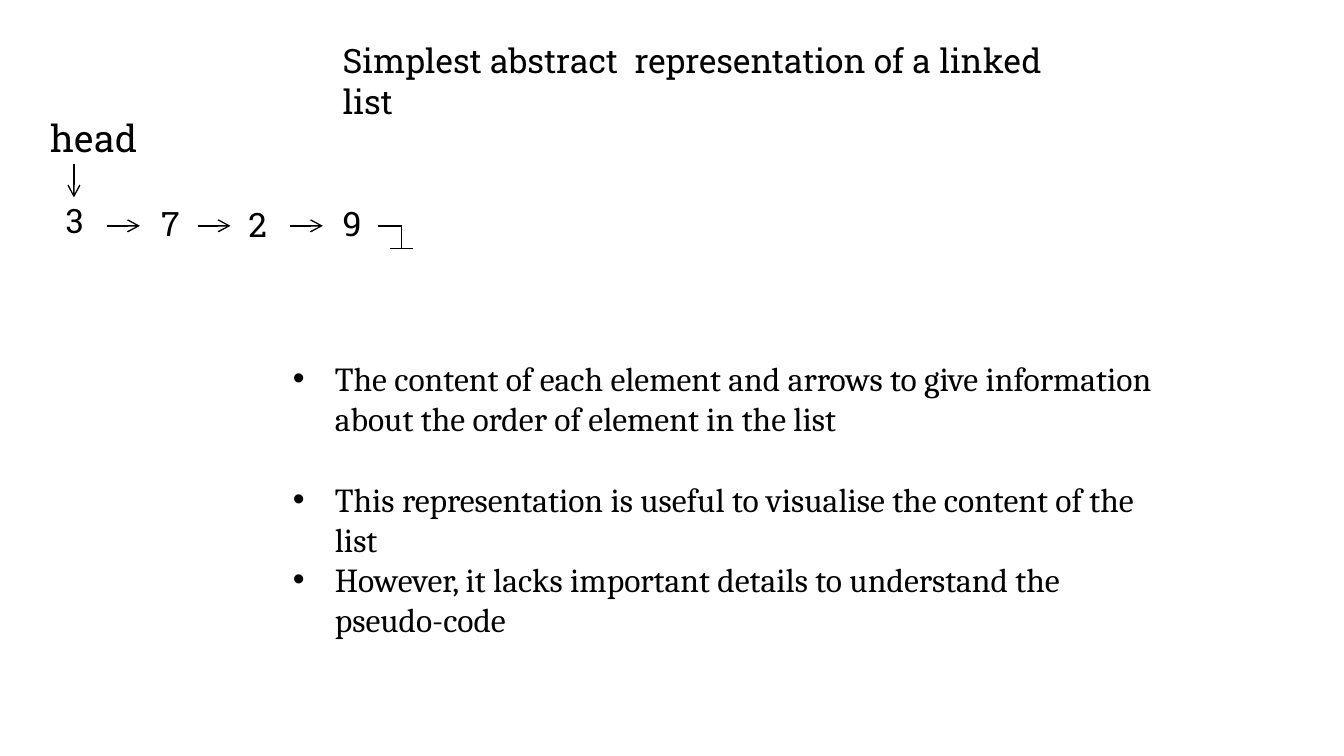
import pptx
import pptx.dml.color
import pptx.enum.shapes
import pptx.oxml.ns
import pptx.util
import lxml.etree

Pt = pptx.util.Pt
BLACK = "000000"
SLAB = "Roboto Slab"


def add_line(shapes, x1, y1, x2, y2, arrow=False):
    line = shapes.add_connector(
        pptx.enum.shapes.MSO_CONNECTOR.STRAIGHT, Pt(x1), Pt(y1), Pt(x2), Pt(y2))
    line.line.color.rgb = pptx.dml.color.RGBColor.from_string(BLACK)
    line.line.width = Pt(0.75)
    properties = line._element.spPr
    if arrow:
        lxml.etree.SubElement(properties.find(pptx.oxml.ns.qn("a:ln")),
                              pptx.oxml.ns.qn("a:tailEnd"), type="arrow")
    lxml.etree.SubElement(properties, pptx.oxml.ns.qn("a:effectLst"))


def add_text(left, top, width, height, texts, font, size, bullets=False):
    box = slide.shapes.add_textbox(Pt(left), Pt(top), Pt(width), Pt(height))
    frame = box.text_frame
    frame.word_wrap = True
    for index, text in enumerate(texts):
        para = frame.add_paragraph() if index else frame.paragraphs[0]
        if bullets:
            properties = para._p.get_or_add_pPr()
            properties.set("marL", str(Pt(22.5)))
            properties.set("indent", str(-Pt(22.5)))
            lxml.etree.SubElement(properties, pptx.oxml.ns.qn("a:buFont"), typeface="Arial")
            lxml.etree.SubElement(properties, pptx.oxml.ns.qn("a:buChar"), char="•")
        span = para.add_run()
        span.text = text
        span.font.name = font
        span.font.size = Pt(size)
        span.font.color.rgb = pptx.dml.color.RGBColor.from_string(BLACK)
    return frame


deck = pptx.Presentation()
deck.slide_width, deck.slide_height = Pt(720), Pt(405)
slide = deck.slides.add_slide(deck.slide_layouts[6])

# Arrows between the elements, and from the head label to the first one
row_y = 121
for x in (57.5, 106, 155.5):
    add_line(slide.shapes, x, row_y, x + 17.5, row_y, arrow=True)
add_line(slide.shapes, 39.6, 88, 39.6, 105.8, arrow=True)

for value, left, top in (("3", 28, 103.7), ("7", 79.2, 105),
                         ("2", 126, 105.8), ("9", 176.4, 105)):
    add_text(left, top, 24, 34.5, [value], SLAB, 18)

# End-of-list mark
end_mark = slide.shapes.add_group_shape()
corner_x, base_y = 215.2, 133.2
add_line(end_mark.shapes, 202.5, row_y, corner_x, row_y)
add_line(end_mark.shapes, corner_x - 6.2, base_y, corner_x + 6.2, base_y)
add_line(end_mark.shapes, corner_x, row_y, corner_x, base_y)

add_text(176.5, 18, 403, 34.5,
         ["Simplest abstract  representation of a linked list"], SLAB, 18)
add_text(20.2, 58.3, 73.5, 34.5, ["head"], SLAB, 20)

notes = add_text(149.8, 188, 475, 160, [
    "The content of each element and arrows to give information about the order of element in the list",
    "This representation is useful to visualise the content of the list",
    "However, it lacks important details to understand the pseudo-code",
], "Cambria", 18, bullets=True)
notes.paragraphs[1].space_before = Pt(21.6)

deck.save("out.pptx")
